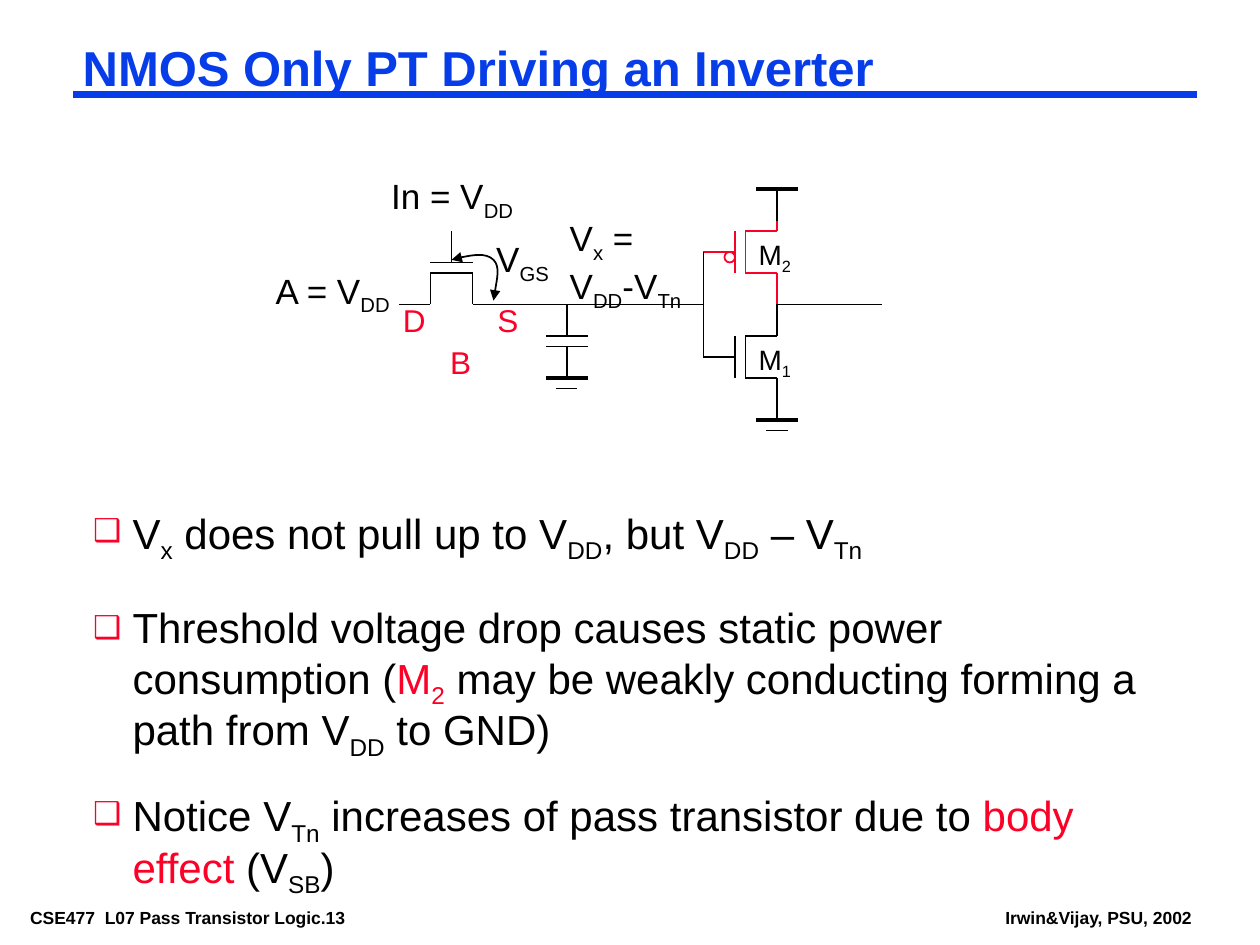
from lxml.etree import SubElement
from pptx import Presentation
from pptx.dml.color import RGBColor
from pptx.enum.shapes import MSO_CONNECTOR as Connector, MSO_SHAPE as Shape
from pptx.enum.text import MSO_ANCHOR as Anchor, MSO_AUTO_SIZE as AutoSize, PP_ALIGN as Align
from pptx.oxml.ns import qn
from pptx.util import Pt

PX = 9525
FONT = "Arial"
COLORS = {"ink": "000000", "blue": "063DE8", "red": "FC0128"}


def rgb(name):
    return RGBColor.from_string(COLORS[name])


def write(para, text, size, color="ink", bold=False):
    """Text between asterisks is red; text between underscores is subscript."""
    for i, piece in enumerate(text.split("*")):
        for j, part in enumerate(piece.split("_")):
            if not part:
                continue
            span = para.add_run()
            span.text = part
            span.font.name = FONT
            span.font.size = Pt(size)
            span.font.bold = bold
            span.font.color.rgb = rgb("red" if i % 2 else color)
            if j % 2:
                span.font._element.set("baseline", "-25000")


def place(shape, left, top, width, height):
    shape.left, shape.top = left * PX, top * PX
    shape.width, shape.height = width * PX, height * PX


def set_frame(frame, across, down, wrap=True):
    frame.word_wrap = wrap
    frame.auto_size = AutoSize.NONE
    frame.vertical_anchor = Anchor.TOP
    frame.margin_left = frame.margin_right = across * PX
    frame.margin_top = frame.margin_bottom = down * PX


def add_label(page, box, text, size, bold=False, inset=(10, 5), wrap=True):
    left, top, width, height = (n * PX for n in box)
    frame = page.shapes.add_textbox(left, top, width, height).text_frame
    set_frame(frame, *inset, wrap)
    write(frame.paragraphs[0], text, size, bold=bold)


def add_wires(page, left, top, wires, color="ink", weight=1):
    for x1, y1, x2, y2 in wires:
        wire = page.shapes.add_connector(
            Connector.STRAIGHT, (left + x1) * PX, (top + y1) * PX,
            (left + x2) * PX, (top + y2) * PX)
        wire.line.color.rgb = rgb(color)
        wire.line.width = Pt(weight)
        SubElement(wire.element.spPr, qn("a:effectLst"))


def add_title(page, box, text):
    left, top, width, height = box
    add_wires(page, left, top, [(0, 40, width, 40)], "blue", 4.5)
    title = page.shapes.title
    place(title, *box)
    set_frame(title.text_frame, 7, 3)
    para = title.text_frame.paragraphs[0]
    para.alignment = Align.LEFT
    para.line_spacing = 0.87
    write(para, text, 28, "blue", True)


def add_list(body, box, items):
    place(body, *box)
    frame = body.text_frame
    set_frame(frame, 7, 3)
    for i, item in enumerate(items):
        para = frame.add_paragraph() if i else frame.paragraphs[0]
        para.line_spacing = 0.9
        para.space_before = Pt(19.5)
        write(para, item, 24)
        props = para._p.get_or_add_pPr()
        props.set("marL", str(30 * PX))
        props.set("indent", str(-30 * PX))
        tint = SubElement(props, qn("a:buClr"))
        SubElement(tint, qn("a:srgbClr"), val=COLORS["red"])
        SubElement(props, qn("a:buSzPct"), val="75000")
        SubElement(props, qn("a:buChar"), char="❑")


def add_pass_transistor(page, left, top):
    add_wires(page, left, top, [
        (40, 0, 40, 24), (24, 24, 56, 24), (24, 32, 56, 32),
        (24, 32, 24, 56), (56, 32, 56, 56), (0, 56, 24, 56), (56, 56, 80, 56)])


def add_transistor(page, left, top, color):
    add_wires(page, left, top, [
        (56, 0, 56, 24), (32, 24, 56, 24), (32, 24, 32, 56), (32, 56, 56, 56),
        (56, 56, 56, 80), (24, 24, 24, 56), (0, 40, 24, 40)], color)


def add_gate_bubble(page, left, top, size):
    bubble = page.shapes.add_shape(Shape.OVAL, left * PX, top * PX, size * PX, size * PX)
    bubble.shadow.inherit = False
    bubble.fill.background()
    bubble.line.color.rgb = rgb("red")
    bubble.line.width = Pt(1)


def add_ground(page, left, top):
    add_wires(page, left, top, [(16, 0, 16, 24), (8, 32, 24, 32)])
    add_wires(page, left, top, [(0, 24, 32, 24)], weight=2.25)


def add_supply(page, left, top):
    add_wires(page, left, top, [(16, 0, 16, 24)])
    add_wires(page, left, top, [(0, 0, 32, 0)], weight=2.25)


def add_capacitor(page, left, top):
    add_wires(page, left, top, [(16, 0, 16, 24), (0, 24, 32, 24), (0, 32, 32, 32)])
    add_ground(page, left, top + 32)


def add_voltage_arc(page, left, top):
    points = [(34, 24), (37, 11), (32, 6), (26, 0), (5, 4), (0, 6)]
    builder = page.shapes.build_freeform(left + 32, top + 37, scale=PX)
    builder.add_line_segments([(left + x, top + y) for x, y in points], close=False)
    arc = builder.convert_to_shape()
    arc.shadow.inherit = False
    arc.fill.background()
    arc.line.color.rgb = rgb("ink")
    arc.line.width = Pt(1)
    segments = list(arc.element.iter(qn("a:lnTo")))
    outline = segments[0].getparent()
    for start in range(0, len(segments), 3):
        curve = SubElement(outline, qn("a:cubicBezTo"))
        for segment in segments[start:start + 3]:
            curve.append(segment[0])
            outline.remove(segment)
    stroke = arc.element.spPr.find(qn("a:ln"))
    for end in ("a:headEnd", "a:tailEnd"):
        SubElement(stroke, qn(end), type="triangle")


def add_circuit(page, left, top):
    add_pass_transistor(page, left + 104, top + 48)
    add_transistor(page, left + 336, top + 24, "red")
    add_gate_bubble(page, left + 352, top + 64, 8)
    add_transistor(page, left + 336, top + 104, "ink")
    add_ground(page, left + 376, top + 168)
    add_supply(page, left + 376, top + 16)
    add_capacitor(page, left + 216, top + 104)
    add_wires(page, left, top, [
        (336, 64, 336, 144), (176, 104, 336, 104), (392, 104, 472, 104)])
    add_voltage_arc(page, left + 144, top + 64)
    for x, y, width, height, text, size in [
            (88, 0, 128, 46, "In = V_DD_", 20),
            (0, 72, 112, 46, "A = V_DD_", 20),
            (224, 32, 120, 83, "V_x_ = V_DD_-V_Tn_", 20),
            (368, 128, 64, 39, "M_1_", 16),
            (368, 48, 64, 39, "M_2_", 16),
            (168, 48, 64, 46, "V_GS_", 20),
            (133, 128, 36, 38, "*B*", 18),
            (169, 96, 36, 38, "*S*", 18),
            (97, 96, 36, 38, "*D*", 18)]:
        add_label(page, (left + x, top + y, width, height), text, size)


def add_footer(page, top):
    for left, width, text in [(16, 303, "CSE477  L07 Pass Transistor Logic.13"),
                              (759, 156, "Irwin&Vijay, PSU, 2002")]:
        add_label(page, (left, top, width, 21), text, 10, True, (7, 3), False)


def main():
    deck = Presentation()
    deck.slide_width, deck.slide_height = 960 * PX, 720 * PX
    page = deck.slides.add_slide(deck.slide_layouts.get_by_name("Two Content"))
    add_footer(page, 688)
    add_title(page, (56, 32, 856, 44), "NMOS Only PT Driving an Inverter")
    add_circuit(page, 200, 128)
    add_list(page.placeholders[1], (64, 384, 832, 45), [
        "V_x_ does not pull up to V_DD_, but V_DD_ – V_Tn_"])
    add_list(page.placeholders[2], (64, 460, 832, 223), [
        "Threshold voltage drop causes static power consumption (*M_2_* may be weakly "
        "conducting forming a path from V_DD_ to GND)",
        "Notice V_Tn_ increases of pass transistor due to *body effect* (V_SB_)"])
    deck.save("out.pptx")


if __name__ == "__main__":
    main()
